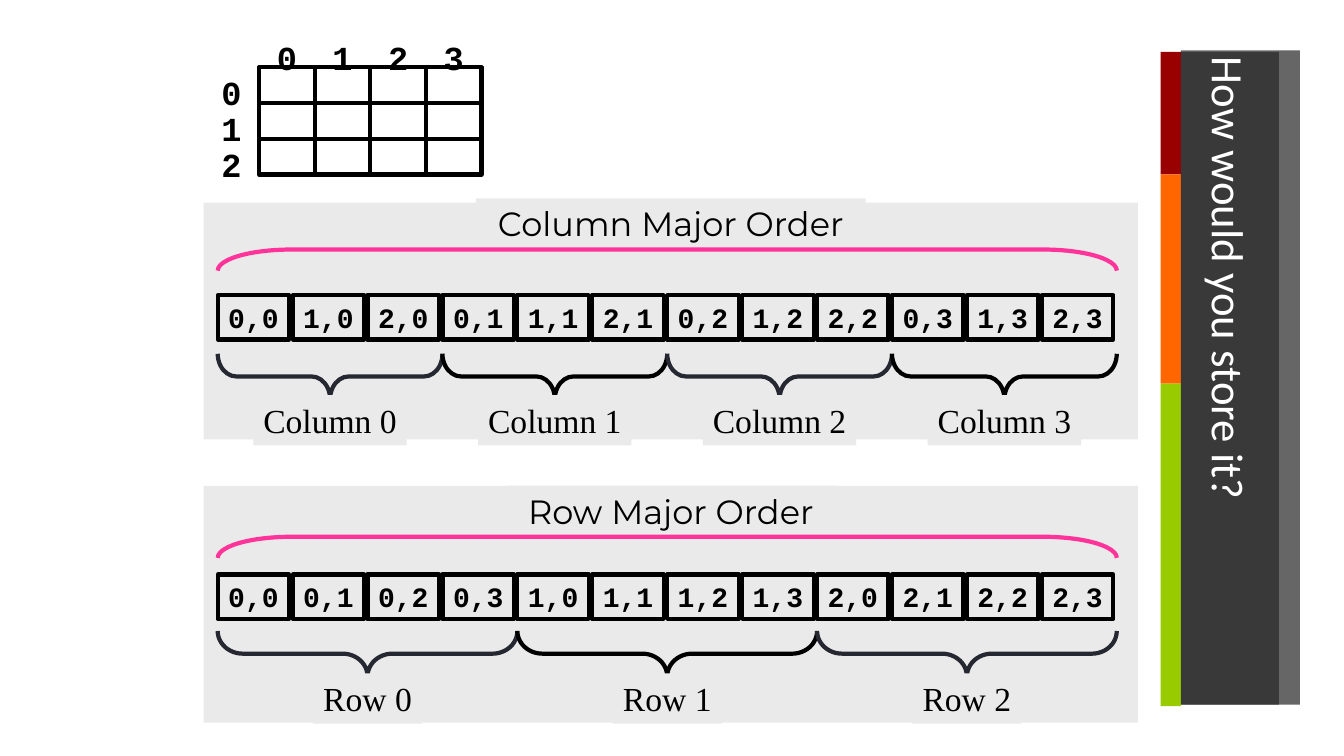
from dataclasses import dataclass

from lxml import etree
from pptx import Presentation
from pptx.dml.color import RGBColor
from pptx.enum.shapes import MSO_SHAPE
from pptx.enum.text import MSO_ANCHOR, MSO_AUTO_SIZE, PP_ALIGN
from pptx.oxml.ns import qn
from pptx.util import Pt

RECT = MSO_SHAPE.RECTANGLE
BRACE = MSO_SHAPE.RIGHT_BRACE
BRACKET = MSO_SHAPE.LEFT_BRACKET
LEFT, CENTER = PP_ALIGN.LEFT, PP_ALIGN.CENTER
TOP, MIDDLE = MSO_ANCHOR.TOP, MSO_ANCHOR.MIDDLE
NO_FIT = MSO_AUTO_SIZE.NONE


@dataclass(frozen=True)
class Theme:
    """Colours, fonts and type sizes of the slide."""
    ink: str = "000000"
    slate: str = "252731"
    panel: str = "EAEAEA"
    pink: str = "FF3399"
    dark: str = "262626"
    white: str = "FFFFFF"
    bars: tuple = (("990000", 87.5), ("FF6600", 149.5), ("99CC00", 230.5))
    code: tuple = ("Courier New", 20, True)
    digit: tuple = ("Courier New", 24, True)
    label: tuple = ("Times New Roman", 24, False)
    head: tuple = ("Montserrat", 24, False)
    title: tuple = ("Calibri", 32, False)
    line: float = 3


@dataclass(frozen=True)
class Order:
    """Wording, counts and vertical offsets of one storage panel."""
    name: str
    count: int
    cells: tuple
    label_w: float
    head_w: float
    head_y: float
    arc_y: float
    cell_y: float
    brace_y: float
    label_y: float
    bend: float


THEME = Theme()
ROWS, COLS = 3, 4
BY_COL = tuple(f"{r},{c}" for c in range(COLS) for r in range(ROWS))
BY_ROW = tuple(f"{r},{c}" for r in range(ROWS) for c in range(COLS))
COL_ORDER = Order("Column", COLS, BY_COL, 109.5, 278.5, -3, 33.5, 66.2, 108, 137.5, 0.41)
ROW_ORDER = Order("Row", ROWS, BY_ROW, 78, 234, 0, 36.4, 63.4, 103.7, 134, 0.55)


def paint(shape, fill=None, line=None, alpha=None):
    """Set the fill, outline and opacity of a shape."""
    if fill:
        shape.fill.solid()
        shape.fill.fore_color.rgb = RGBColor.from_string(fill)
    else:
        shape.fill.background()
    if line:
        shape.line.color.rgb = RGBColor.from_string(line)
        shape.line.width = Pt(THEME.line)
    else:
        shape.line.fill.background()
    if alpha:
        tint = shape.element.spPr.find(f"{qn('a:solidFill')}/{qn('a:srgbClr')}")
        etree.SubElement(tint, qn("a:alpha")).set("val", str(alpha * 1000))


def write(shape, text, style, color=THEME.ink, align=CENTER, anchor=TOP):
    """Put one styled line of text in a shape."""
    frame = shape.text_frame
    frame.text = text
    frame.word_wrap = False
    frame.auto_size = NO_FIT
    frame.vertical_anchor = anchor
    para = frame.paragraphs[0]
    para.alignment = align
    font = para.runs[0].font
    font.name, size, font.bold = style
    font.size = Pt(size)
    font.color.rgb = RGBColor.from_string(color)


def draw(slide, box, fill=None, line=None, kind=RECT, alpha=None):
    """Add a painted preset shape in a box."""
    shape = slide.shapes.add_shape(kind, *map(Pt, box))
    shape.shadow.inherit = False
    paint(shape, fill, line, alpha)
    return shape


def turn(slide, kind, box, line, bends):
    """Add a brace or bracket turned a quarter to fill a wide box."""
    x, y, w, h = box
    flat = (x + (w - h) / 2, y + (h - w) / 2, h, w)
    shape = draw(slide, flat, THEME.panel, line, kind)
    shape.rotation = 90
    for i, bend in enumerate(bends):
        shape.adjustments[i] = bend


def sidebar(slide, box):
    """Draw the colour bars, the grey band and the upright title."""
    x, y, w, h = box
    bar = 14.4
    draw(slide, (x + bar, y - 1, w - bar, h), THEME.dark, alpha=70)
    at = y
    for color, tall in THEME.bars:
        draw(slide, (x, at, bar, tall), color)
        at += tall
    title = slide.shapes.title
    title.left, title.top = Pt(x + bar), Pt(y)
    title.width, title.height = Pt(70), Pt(h - 1)
    paint(title, THEME.dark, alpha=70)
    write(title, "How would you store it?", THEME.title, THEME.white, LEFT, MIDDLE)
    title.text_frame.word_wrap = True
    title.element.txBody.find(qn("a:bodyPr")).set("vert", "eaVert")
    title.element.getparent().append(title.element)


def grid(slide, box):
    """Draw the empty matrix with its row and column numbers."""
    x, y, w, h = box
    wide, tall = w / (COLS + 1), h / (ROWS + 1)
    for r in range(ROWS + 1):
        for c in range(COLS + 1):
            spot = (x + c * wide, y + r * tall, wide, tall)
            if r and c:
                draw(slide, spot, line=THEME.ink)
            elif r or c:
                note = slide.shapes.add_textbox(*map(Pt, spot))
                write(note, str(max(r, c) - 1), THEME.digit)


def panel(slide, box, order):
    """Draw one storage order: heading, arc, cells, braces and labels."""
    x, y, w, h = box
    draw(slide, box, THEME.panel)
    left, span = x + 10.1, 642.2
    step = span / len(order.cells)
    for i, text in enumerate(order.cells):
        cell = draw(slide, (left + i * step, y + order.cell_y, 51.1, 31.7),
                    THEME.panel, THEME.ink)
        write(cell, text, THEME.code)
    share = span / order.count
    for i in range(order.count):
        at = left + i * share
        color = THEME.ink if i % 2 else THEME.slate
        turn(slide, BRACE, (at, y + order.brace_y, share, 32.4), color, (order.bend, 0.5))
        mid = at + (share - order.label_w) / 2
        label = draw(slide, (mid, y + order.label_y, order.label_w, 36), THEME.panel)
        write(label, f"{order.name} {i}", THEME.label)
    mid = x + (w - order.head_w) / 2
    head = draw(slide, (mid, y + order.head_y, order.head_w, 36.4), THEME.panel)
    write(head, f"{order.name} Major Order", THEME.head)
    turn(slide, BRACKET, (left, y + order.arc_y, span, 15.1), THEME.pink, (3.51,))


def main():
    """Build and save the slide."""
    deck = Presentation()
    deck.slide_width, deck.slide_height = Pt(960), Pt(540)
    slide = deck.slides.add_slide(deck.slide_layouts[5])
    sidebar(slide, (829.1, 37, 99.4, 467.3))
    grid(slide, (145.4, 22.5, 198.5, 102.2))
    panel(slide, (145.4, 144.7, 667.4, 169.2), COL_ORDER)
    panel(slide, (145.4, 347, 667.4, 169.2), ROW_ORDER)
    deck.save("out.pptx")


if __name__ == "__main__":
    main()
